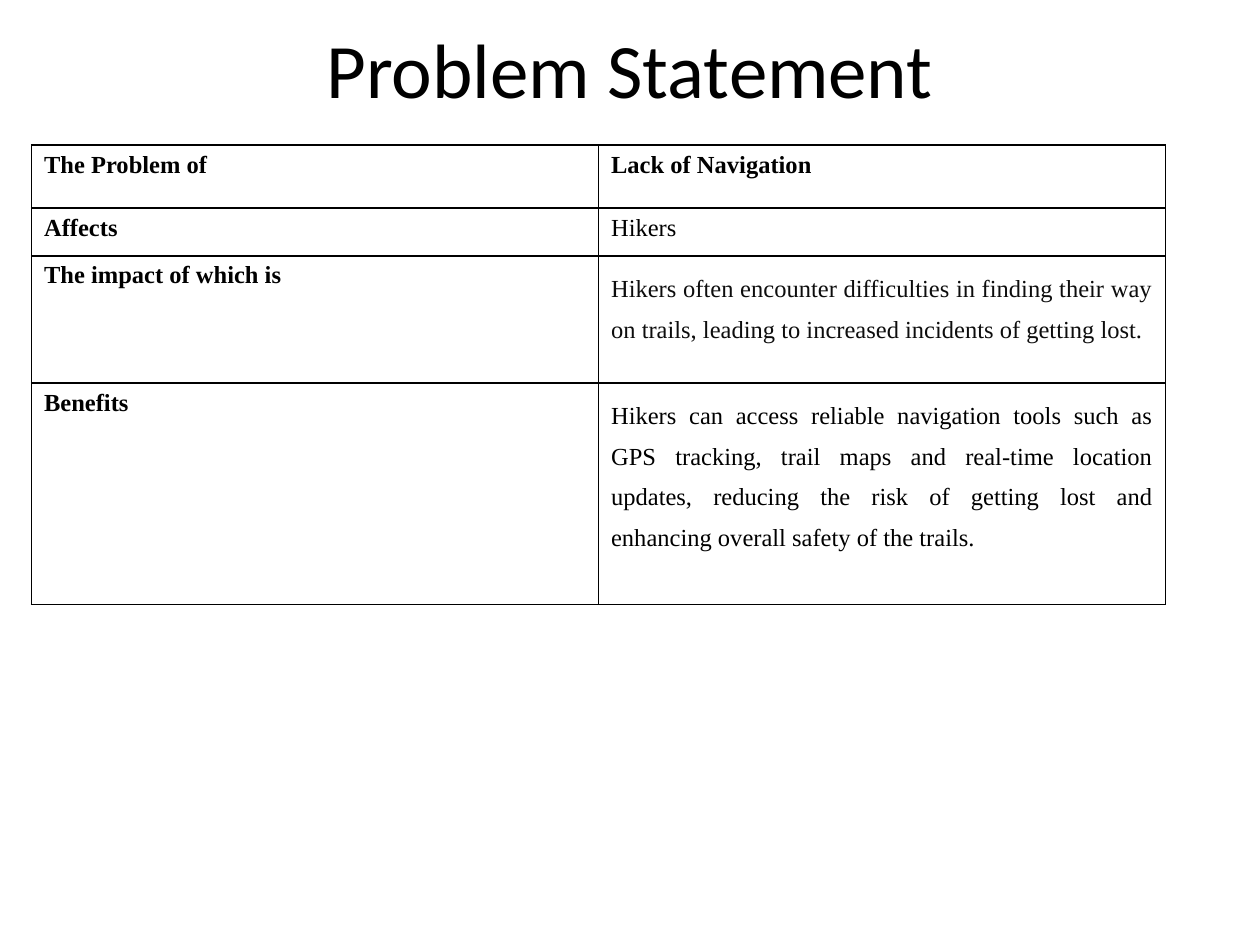
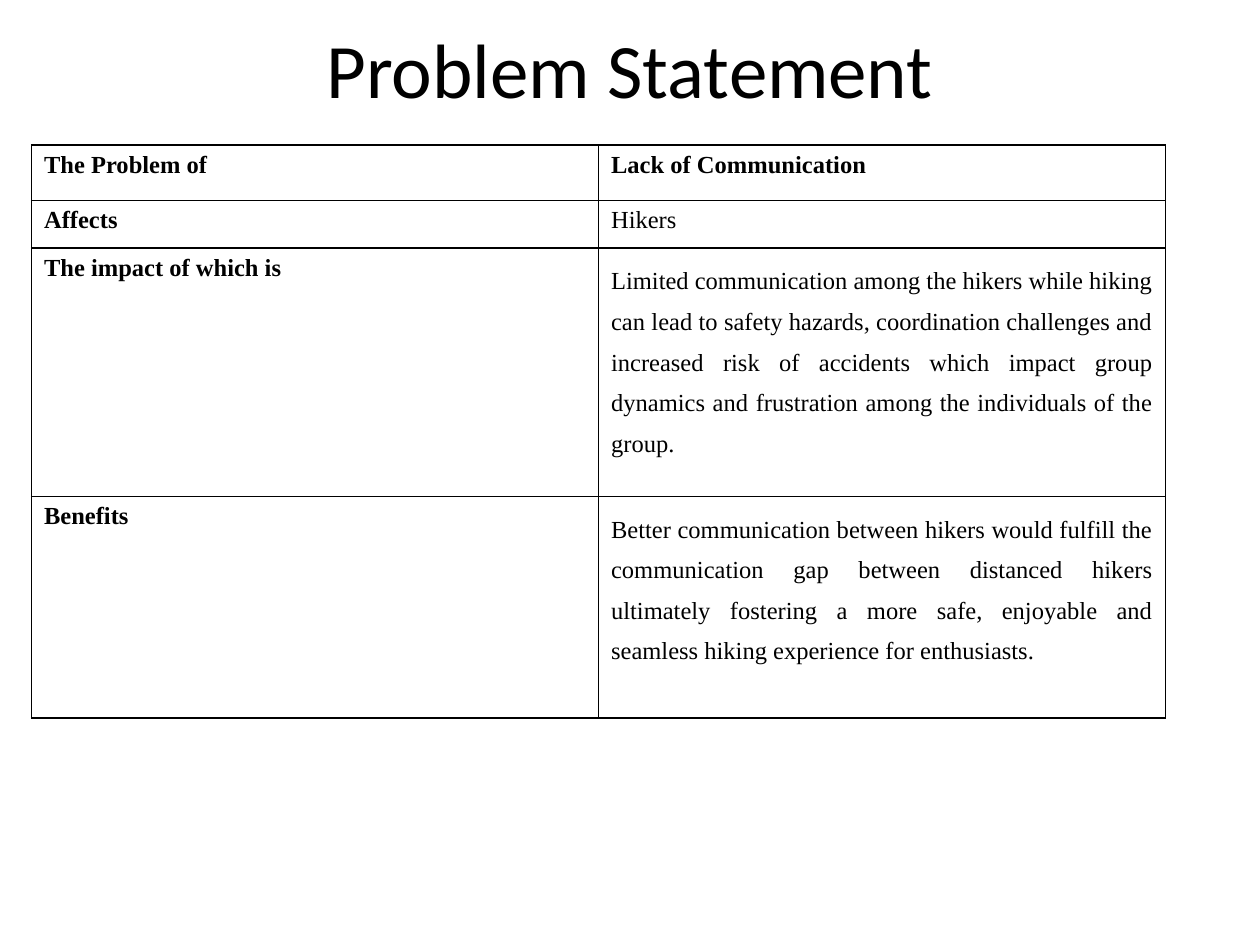
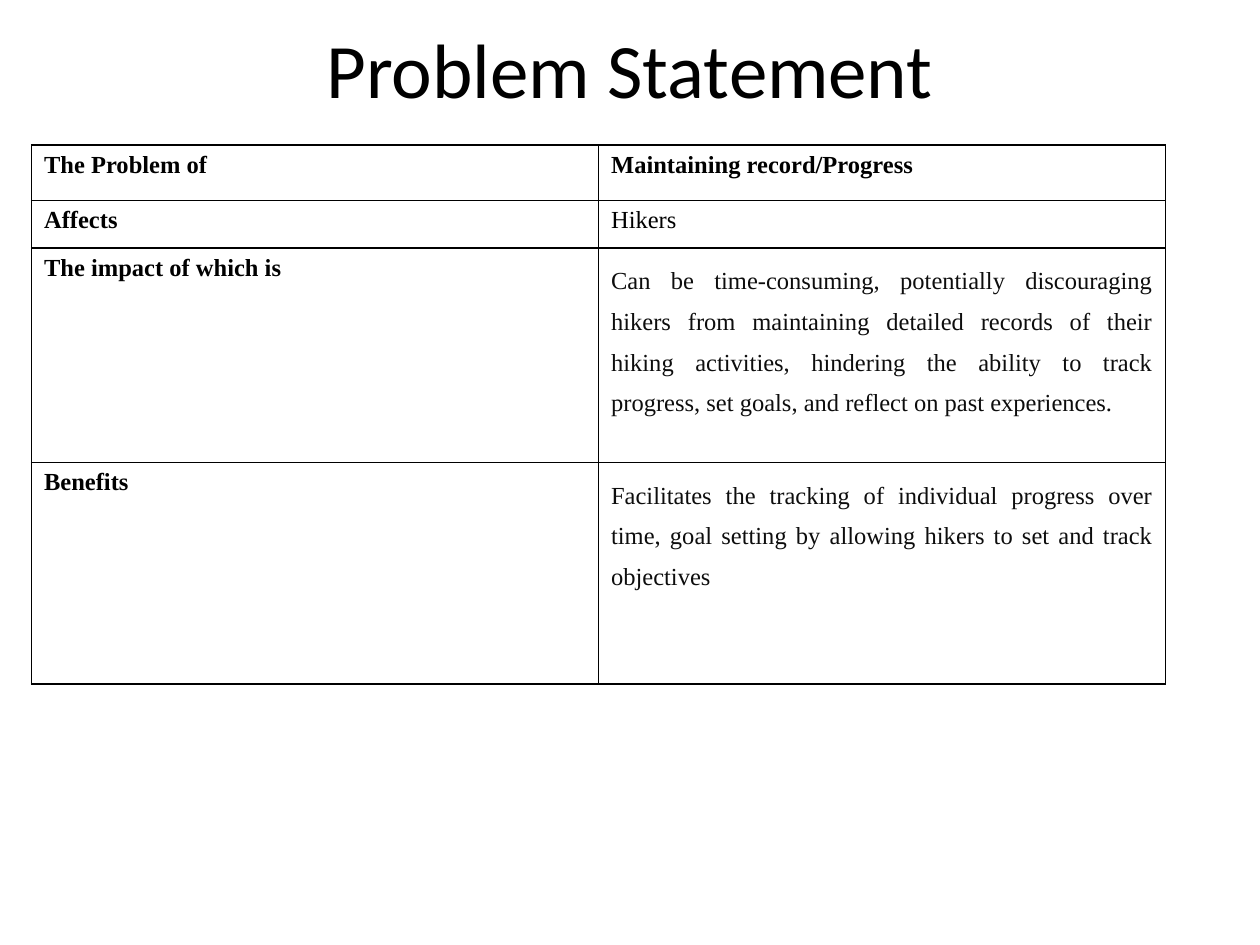
"""Build three problem statement slides, each a title over a two-column table."""
from lxml.etree import SubElement as Sub
from pptx import Presentation
from pptx.dml.color import RGBColor as Rgb
from pptx.enum.text import MSO_ANCHOR as Anchor, PP_ALIGN as Align
from pptx.oxml.ns import qn
from pptx.util import Inches, Pt

TITLE = "Problem Statement"
LABELS = ["The Problem of", "Affects", "The impact of which is", "Benefits"]
BLACK, SOFT = "000000", "0D0D0D"
HEAD = {"name": "Calibri", "size": Pt(44), "bold": False}
BODY = {"name": "Times New Roman", "size": Pt(14)}
PLAIN = {"alignment": Align.LEFT}
PROSE = {"alignment": Align.JUSTIFY, "line_spacing": 1.5}
LEFT, TOP, WIDE = 0.25, 1.15, 4.5

SLIDES = [
    {
        "rows": [0.5, 0.38, 1.01, 1.76],
        "inks": [SOFT, BLACK],
        "texts": [
            "Lack of Navigation",
            "Hikers",
            "Hikers often encounter difficulties in finding their way on trails, "
            "leading to increased incidents of getting lost.",
            "Hikers can access reliable navigation tools such as GPS tracking, "
            "trail maps and real-time location updates, reducing the risk of "
            "getting lost and enhancing overall safety of the trails.",
        ],
    },
    {
        "rows": [0.44, 0.38, 1.97, 1.76],
        "inks": [BLACK, BLACK],
        "texts": [
            "Lack of Communication",
            "Hikers",
            "Limited communication among the hikers while hiking can lead to "
            "safety hazards, coordination challenges and increased risk of "
            "accidents which impact group dynamics and frustration among the "
            "individuals of the group.",
            "Better communication between hikers would fulfill the communication "
            "gap between distanced hikers ultimately fostering a more safe, "
            "enjoyable and seamless hiking experience for enthusiasts.",
        ],
    },
    {
        "rows": [0.44, 0.38, 1.7, 1.76],
        "inks": [SOFT, SOFT],
        "texts": [
            "Maintaining record/Progress",
            "Hikers",
            "Can be time-consuming, potentially discouraging hikers from "
            "maintaining detailed records of their hiking activities, hindering "
            "the ability to track progress, set goals, and reflect on past "
            "experiences.",
            "Facilitates the tracking of individual progress over time, goal "
            "setting by allowing hikers to set and track objectives",
        ],
    },
]


def style(item, values):
    for key, value in values.items():
        setattr(item, key, value)


def write(frame, text, font, para, ink=BLACK):
    line = frame.paragraphs[0]
    style(line, para)
    run = line.add_run()
    run.text = text
    style(run.font, font)
    run.font.color.rgb = Rgb.from_string(ink)


def border(cell):
    props = cell._tc.get_or_add_tcPr()
    for side in ("lnL", "lnR", "lnT", "lnB"):
        edge = Sub(props, qn(f"a:{side}"), w=str(Pt(1)))
        fill = Sub(edge, qn("a:solidFill"))
        Sub(fill, qn("a:srgbClr"), val=BLACK)
    cell.fill.background()


def add_title(slide):
    box = slide.shapes.add_textbox(Inches(0.5), 0, Inches(9), Inches(1.08))
    frame = box.text_frame
    style(frame, {"word_wrap": True, "vertical_anchor": Anchor.MIDDLE})
    write(frame, TITLE, HEAD, {"alignment": Align.CENTER})


def add_grid(slide, data):
    rows = data["rows"]
    spot = [Inches(n) for n in (LEFT, TOP, 2 * WIDE, sum(rows))]
    table = slide.shapes.add_table(len(rows), 2, *spot).table
    style(table, {"first_row": False, "horz_banding": False})
    for col in table.columns:
        col.width = Inches(WIDE)
    inks = [BLACK, BLACK] + data["inks"]
    for i, (high, label, text, ink) in enumerate(zip(rows, LABELS, data["texts"], inks)):
        table.rows[i].height = Inches(high)
        name, value = table.cell(i, 0), table.cell(i, 1)
        border(name)
        border(value)
        write(name.text_frame, label, {**BODY, "bold": True}, PLAIN)
        para = PROSE if i > 1 else PLAIN
        write(value.text_frame, text, {**BODY, "bold": i == 0}, para, ink)


def main():
    deck = Presentation()
    style(deck, {"slide_width": Inches(10), "slide_height": Inches(7.5)})
    for data in SLIDES:
        slide = deck.slides.add_slide(deck.slide_layouts[6])
        add_title(slide)
        add_grid(slide, data)
    deck.save("out.pptx")


if __name__ == "__main__":
    main()
